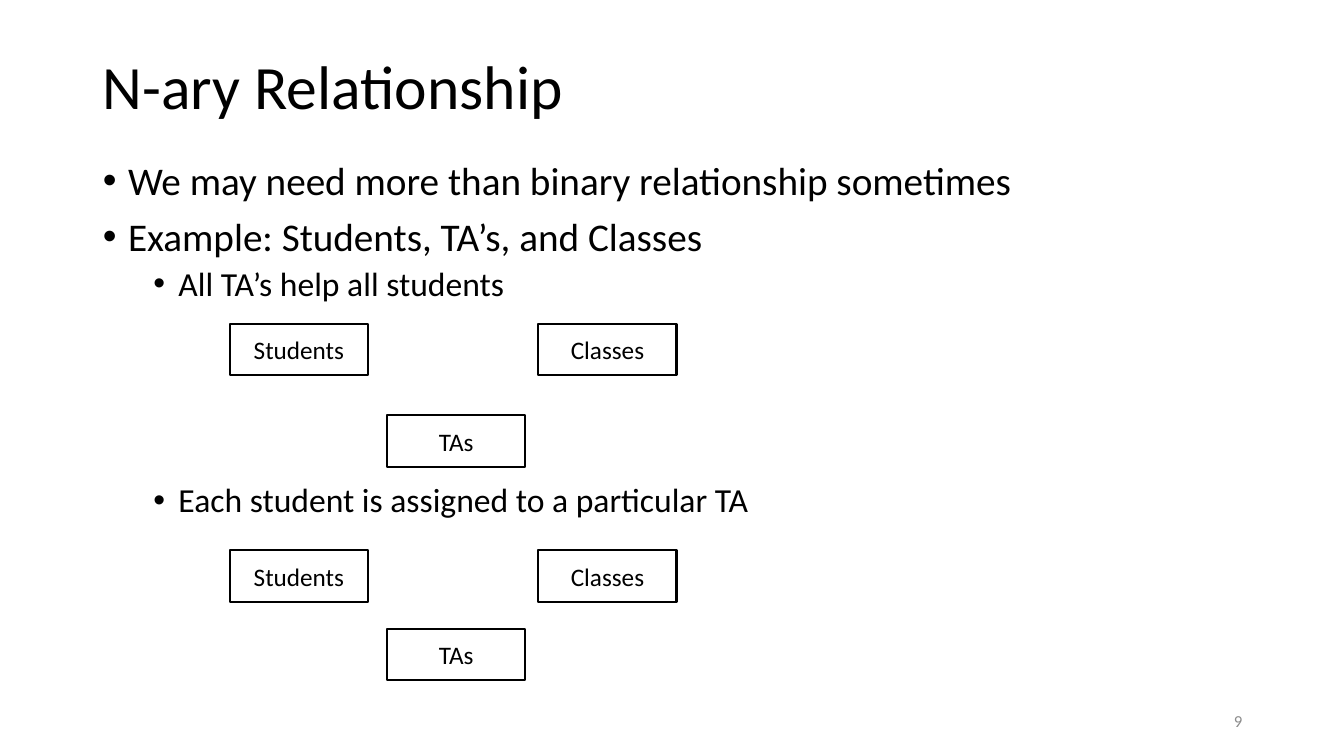
import pptx
import pptx.util
import pptx.dml.color
import pptx.enum.shapes
import pptx.enum.text
import lxml.etree

Inches = pptx.util.Inches
Pt = pptx.util.Pt
Align = pptx.enum.text.PP_ALIGN
Anchor = pptx.enum.text.MSO_ANCHOR
BLACK = pptx.dml.color.RGBColor(0, 0, 0)
GREY = pptx.dml.color.RGBColor(0x8C, 0x8C, 0x8C)
NS = "{http://schemas.openxmlformats.org/drawingml/2006/main}"


def apply(target, values):
    for name, value in values.items():
        setattr(target, name, value)


class Page:
    font = "Calibri"
    wide, high = 1.37, 0.51

    def __init__(self, deck):
        self.slide = deck.slides.add_slide(deck.slide_layouts[1])
        self.shapes = self.slide.shapes

    def place(self, shape, left, top, width, height):
        apply(shape, {"left": Inches(left), "top": Inches(top),
                      "width": Inches(width), "height": Inches(height)})

    def frame(self, shape, anchor):
        apply(shape.text_frame, {
            "word_wrap": True, "vertical_anchor": anchor,
            "auto_size": pptx.enum.text.MSO_AUTO_SIZE.NONE})

    def label(self, para, text, size, color=BLACK, **form):
        run = para.add_run()
        run.text = text
        apply(run.font, {"name": self.font, "size": Pt(size)})
        run.font.color.rgb = color
        apply(para, form)

    def title(self, text, *area):
        shape = self.shapes.title
        self.place(shape, *area)
        self.frame(shape, Anchor.MIDDLE)
        self.label(shape.text_frame.paragraphs[0], text, 44,
                   alignment=Align.LEFT, line_spacing=0.9)

    def bullets(self, items, *area):
        shape = self.slide.placeholders[1]
        self.place(shape, *area)
        self.frame(shape, Anchor.TOP)
        body = shape.text_frame
        for i, (level, gap, text) in enumerate(items):
            para = body.add_paragraph() if i else body.paragraphs[0]
            self.label(para, text, 28 - 4 * level, level=level,
                       line_spacing=0.9, space_before=Pt(gap))
            props = para._p.get_or_add_pPr()
            props.set("marL", str(Inches(0.25 + 0.5 * level)))
            props.set("indent", str(Inches(-0.25)))
            lxml.etree.SubElement(props, NS + "buFont", typeface="Arial")
            lxml.etree.SubElement(props, NS + "buChar", char="•")

    def entity(self, text, left, top):
        shape = self.shapes.add_shape(
            pptx.enum.shapes.MSO_SHAPE.RECTANGLE, Inches(left), Inches(top),
            Inches(self.wide), Inches(self.high))
        shape.shadow.inherit = False
        shape.fill.background()
        shape.line.color.rgb = BLACK
        shape.line.width = Pt(1.5)
        self.frame(shape, Anchor.MIDDLE)
        self.label(shape.text_frame.paragraphs[0], text, 18,
                   alignment=Align.CENTER)

    def number(self, text, *area):
        shape = self.shapes.add_textbox(*map(Inches, area))
        self.frame(shape, Anchor.MIDDLE)
        self.label(shape.text_frame.paragraphs[0], text, 12, GREY,
                   alignment=Align.RIGHT)


deck = pptx.Presentation()
apply(deck, {"slide_width": Inches(13.33), "slide_height": Inches(7.5)})
page = Page(deck)

# Title and list; the last item leaves room for the first diagram
page.title("N-ary Relationship", 0.92, 0.4, 11.5, 0.97)
page.bullets([
    (0, 10, "We may need more than binary relationship sometimes"),
    (0, 10, "Example: Students, TA’s, and Classes"),
    (1, 5, "All TA’s help all students"),
    (1, 129, "Each student is assigned to a particular TA"),
], 0.92, 1.55, 11.5, 5.21)

# Two diagrams of the same three entities
for upper, lower in ((3.21, 4.12), (5.46, 6.24)):
    page.entity("Students", 2.28, upper)
    page.entity("Classes", 5.34, upper)
    page.entity("TAs", 3.84, lower)

# Slide number
page.number("9", 9.42, 6.95, 3, 0.4)

deck.save("out.pptx")
